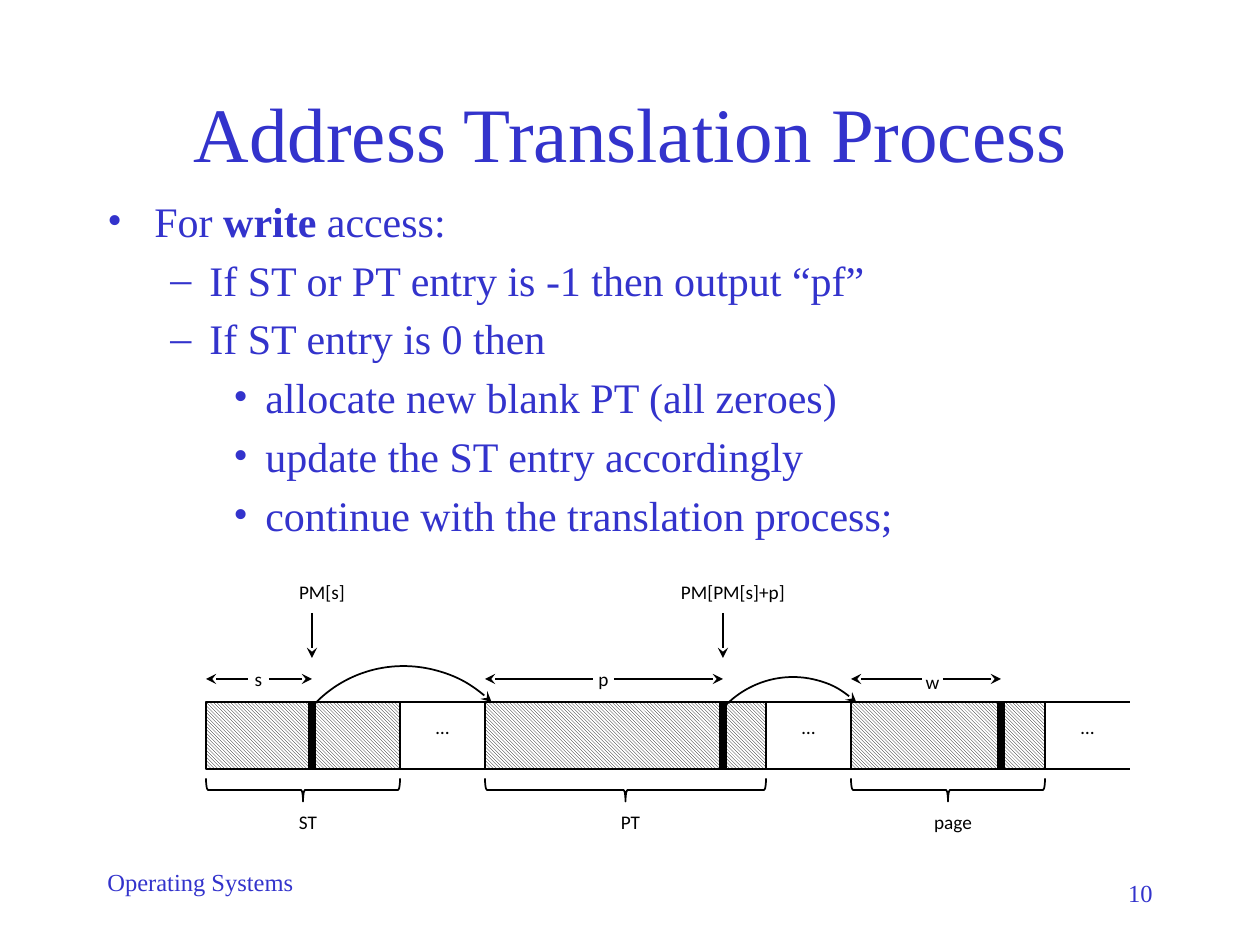
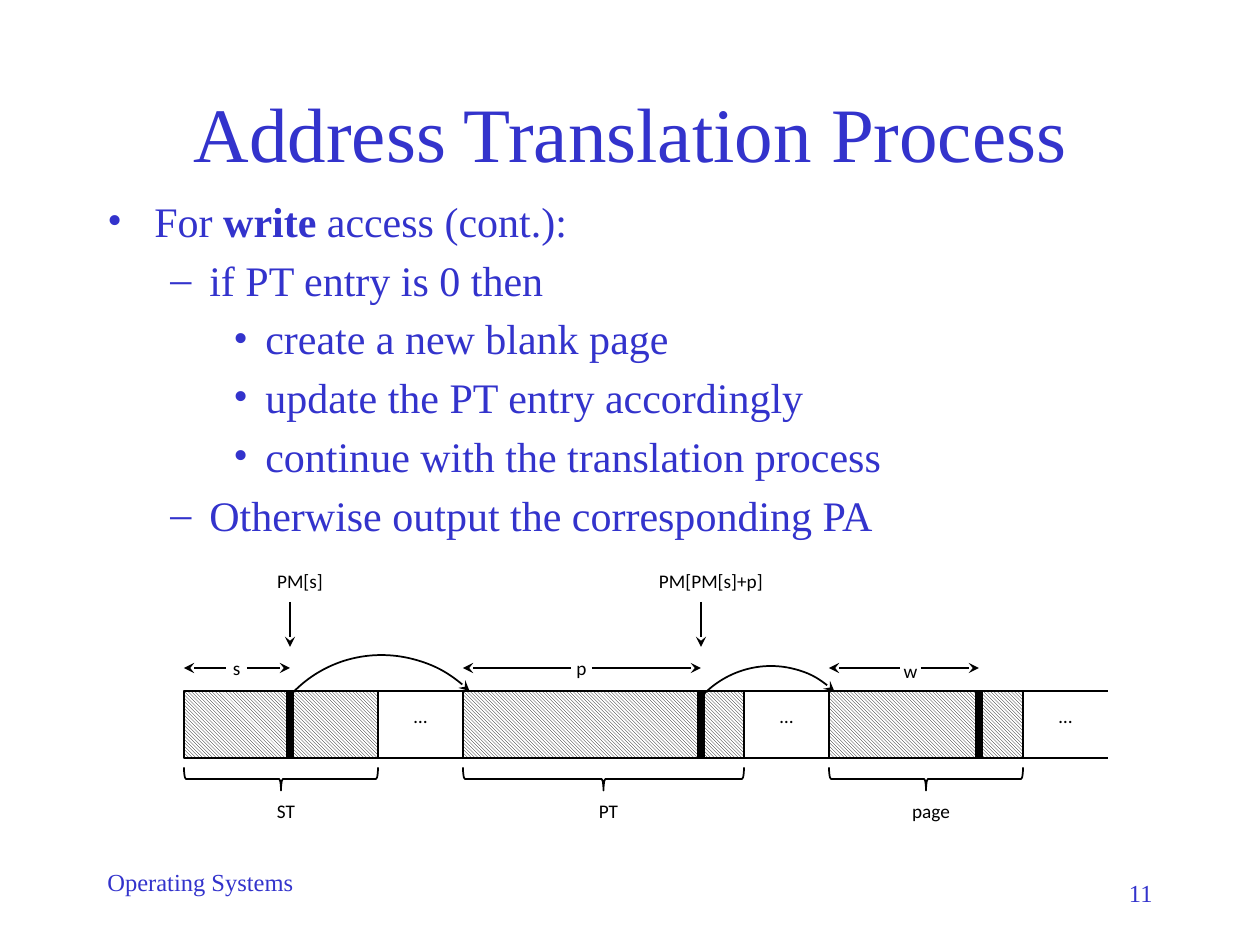
from collections import namedtuple

from lxml import etree
from pptx import Presentation
from pptx.dml.color import RGBColor
from pptx.enum.dml import MSO_PATTERN
from pptx.enum.shapes import MSO_CONNECTOR, MSO_SHAPE
from pptx.enum.text import MSO_ANCHOR, MSO_AUTO_SIZE, PP_ALIGN
from pptx.oxml.ns import qn
from pptx.util import Pt

PX = 914400 / 126
BLUE = RGBColor(0x33, 0x33, 0xCC)
BLACK = RGBColor(0, 0, 0)
WHITE = RGBColor(0xFF, 0xFF, 0xFF)
SERIF, SANS = "Times New Roman", "Calibri"
LEFT, CENTER, RIGHT = PP_ALIGN.LEFT, PP_ALIGN.CENTER, PP_ALIGN.RIGHT
TOP, MIDDLE = MSO_ANCHOR.TOP, MSO_ANCHOR.MIDDLE
RECT, BRACE, ARC = MSO_SHAPE.RECTANGLE, MSO_SHAPE.LEFT_BRACE, MSO_SHAPE.ARC
STRAIGHT = MSO_CONNECTOR.STRAIGHT
HATCH = MSO_PATTERN.LIGHT_DOWNWARD_DIAGONAL
NO_AUTOFIT = MSO_AUTO_SIZE.NONE
TITLE_ONLY = 5

# Memory strip: mark and letter are offsets from the left of the block
Block = namedtuple("Block", "name width mark letter letter_at letter_drop pointer")
BLOCKS = [
    Block("ST", 194, 106, "s", 42, 0, "PM[s]"),
    Block("PT", 281, 238, "p", 108, 0, "PM[PM[s]+p]"),
    Block("page", 194, 150, "w", 71, 3, None),
]
JUMPS = [(76, -37, 247, 251), (491, -24, 188, 184)]
STRIP_H, GAP, LETTER_W, LABEL_H = 67, 85, 21, 44

# Bullet levels: character, left margin, hanging indent
LEVELS = [("•", 47, 47), ("–", 102, 39), ("•", 158, 32)]

SLIDES = [
    (10, (206, 702), [
        (0, ["For ", "*write", " access:"]),
        (1, ["If ST or PT entry is -1 then output “pf”"]),
        (1, ["If ST entry is 0 then"]),
        (2, ["allocate new blank PT (all zeroes)"]),
        (2, ["update the ST entry accordingly"]),
        (2, ["continue with the translation process;"]),
    ]),
    (11, (184, 691), [
        (0, ["For ", "*write", " access (cont.):"]),
        (1, ["if PT entry is 0 then"]),
        (2, ["create a new blank page"]),
        (2, ["update the PT entry accordingly"]),
        (2, ["continue with the translation process"]),
        (1, ["Otherwise output the corresponding PA"]),
    ]),
]


def emu(*lengths):
    return [round(n * PX) for n in lengths]


def add_run(p, text, size, font, color, bold=False):
    r = p.add_run()
    r.text = text
    r.font.size, r.font.name, r.font.bold = Pt(size), font, bold
    r.font.color.rgb = color


def text_box(shapes, box, text, size, font, color, align=LEFT):
    tf = shapes.add_textbox(*emu(*box)).text_frame
    tf.word_wrap = True
    p = tf.paragraphs[0]
    p.alignment = align
    add_run(p, text, size, font, color)
    return tf


def label(shapes, center, top, width, height, text):
    tf = text_box(shapes, (center - width / 2, top, width, height), text,
                  11, SANS, BLACK, CENTER)
    tf.margin_left = tf.margin_right = tf.margin_top = tf.margin_bottom = 0
    tf.vertical_anchor = MIDDLE
    tf.paragraphs[0].line_spacing = 1.15


def set_outline(sp, width=1, arrow=False):
    sp.line.color.rgb = BLACK
    sp.line.width = Pt(width)
    if arrow:
        etree.SubElement(sp.line._get_or_add_ln(), qn("a:tailEnd"), type="stealth")


def line(shapes, x1, y1, x2, y2, width=1, arrow=False):
    cx = shapes.add_connector(STRAIGHT, *emu(x1, y1, x2, y2))
    set_outline(cx, width, arrow)
    etree.SubElement(cx._element.spPr, qn("a:effectLst"))


def outline_shape(shapes, kind, box, rotation=0, arrow=False):
    sp = shapes.add_shape(kind, *emu(*box))
    sp.shadow.inherit = False
    sp.fill.background()
    sp.rotation = rotation
    set_outline(sp, 1, arrow)
    return sp


def add_title(slide, box):
    sp = slide.shapes.title
    sp.left, sp.top, sp.width, sp.height = emu(*box)
    tf = sp.text_frame
    tf.auto_size, tf.vertical_anchor = NO_AUTOFIT, MIDDLE
    p = tf.paragraphs[0]
    p.alignment = CENTER
    add_run(p, "Address Translation Process", 44, SERIF, BLUE)


def set_bullet(p, level):
    char, margin, hang = LEVELS[level]
    margin, hang = emu(margin, hang)
    pPr = p._p.get_or_add_pPr()
    pPr.set("marL", str(margin))
    pPr.set("indent", str(-hang))
    before = etree.SubElement(pPr, qn("a:spcBef"))
    etree.SubElement(before, qn("a:spcPct"), val="20000")
    color = etree.SubElement(pPr, qn("a:buClr"))
    etree.SubElement(color, qn("a:srgbClr"), val=str(BLUE))
    etree.SubElement(pPr, qn("a:buFont"), typeface=SERIF)
    etree.SubElement(pPr, qn("a:buChar"), char=char)


def add_body(slide, box, items):
    tf = slide.shapes.add_textbox(*emu(*box)).text_frame
    tf.word_wrap = True
    tf.vertical_anchor = TOP
    for i, (level, parts) in enumerate(items):
        p = tf.add_paragraph() if i else tf.paragraphs[0]
        p.level = level
        set_bullet(p, level)
        for part in parts:
            add_run(p, part.lstrip("*"), 24, SERIF, BLUE, part.startswith("*"))


def add_footer(slide, number):
    text_box(slide.shapes, (95, 861, 262, 63), "Operating Systems", 14, SERIF, BLUE)
    text_box(slide.shapes, (903, 872, 262, 53), str(number), 14, SERIF, BLUE, RIGHT)


def add_block(shapes, x, y, block):
    end, mark = x + block.width, x + block.mark
    bottom = y + STRIP_H

    # Hatched block with its marked entry
    sp = outline_shape(shapes, RECT, (x, y, block.width, STRIP_H))
    sp.fill.patterned()
    sp.fill.pattern = HATCH
    sp.fill.fore_color.rgb, sp.fill.back_color.rgb = BLACK, WHITE
    line(shapes, mark, y, mark, bottom - 1, 5)

    # Free memory after the block
    for rail in (y, bottom):
        line(shapes, end, rail, end + GAP, rail)
    label(shapes, end + GAP / 2, y + 1, 43, LABEL_H, "…")

    # Offset range above the block
    letter = x + block.letter_at
    label(shapes, letter + LETTER_W / 2, y - 47 + block.letter_drop,
          LETTER_W, LABEL_H, block.letter)
    line(shapes, letter, y - 23, x, y - 23, arrow=True)
    line(shapes, letter + LETTER_W, y - 23, mark, y - 23, arrow=True)

    # Pointer to the marked entry
    if block.pointer:
        label(shapes, mark + 10, y - 134, 151, LABEL_H, block.pointer)
        line(shapes, mark, y - 89, mark, y - 44, arrow=True)

    # Brace and name below: the brace is turned about its centre
    depth, center = 23, x + block.width / 2
    outline_shape(shapes, BRACE, (center - depth / 2, y + 88 - block.width / 2,
                                  depth, block.width), 270)
    label(shapes, center + 5, y + 102, 54, 33, block.name)


def add_memory_strip(slide, x, y):
    shapes = slide.shapes.add_group_shape().shapes
    block_x = x
    for block in BLOCKS:
        add_block(shapes, block_x, y, block)
        block_x += block.width + GAP
    for dx, dy, w, h in JUMPS:
        outline_shape(shapes, ARC, (x + dx, y + dy, w, h), 314.2, arrow=True)


def add_process_slide(prs, number, origin, items):
    slide = prs.slides.add_slide(prs.slide_layouts[TITLE_ONLY])
    add_title(slide, (95, 84, 1071, 95))
    add_body(slide, (95, 189, 1071, 651), items)
    add_footer(slide, number)
    add_memory_strip(slide, *origin)


def main():
    prs = Presentation()
    prs.slide_width, prs.slide_height = emu(1260, 945)
    for number, origin, items in SLIDES:
        add_process_slide(prs, number, origin, items)
    prs.save("out.pptx")


if __name__ == "__main__":
    main()
